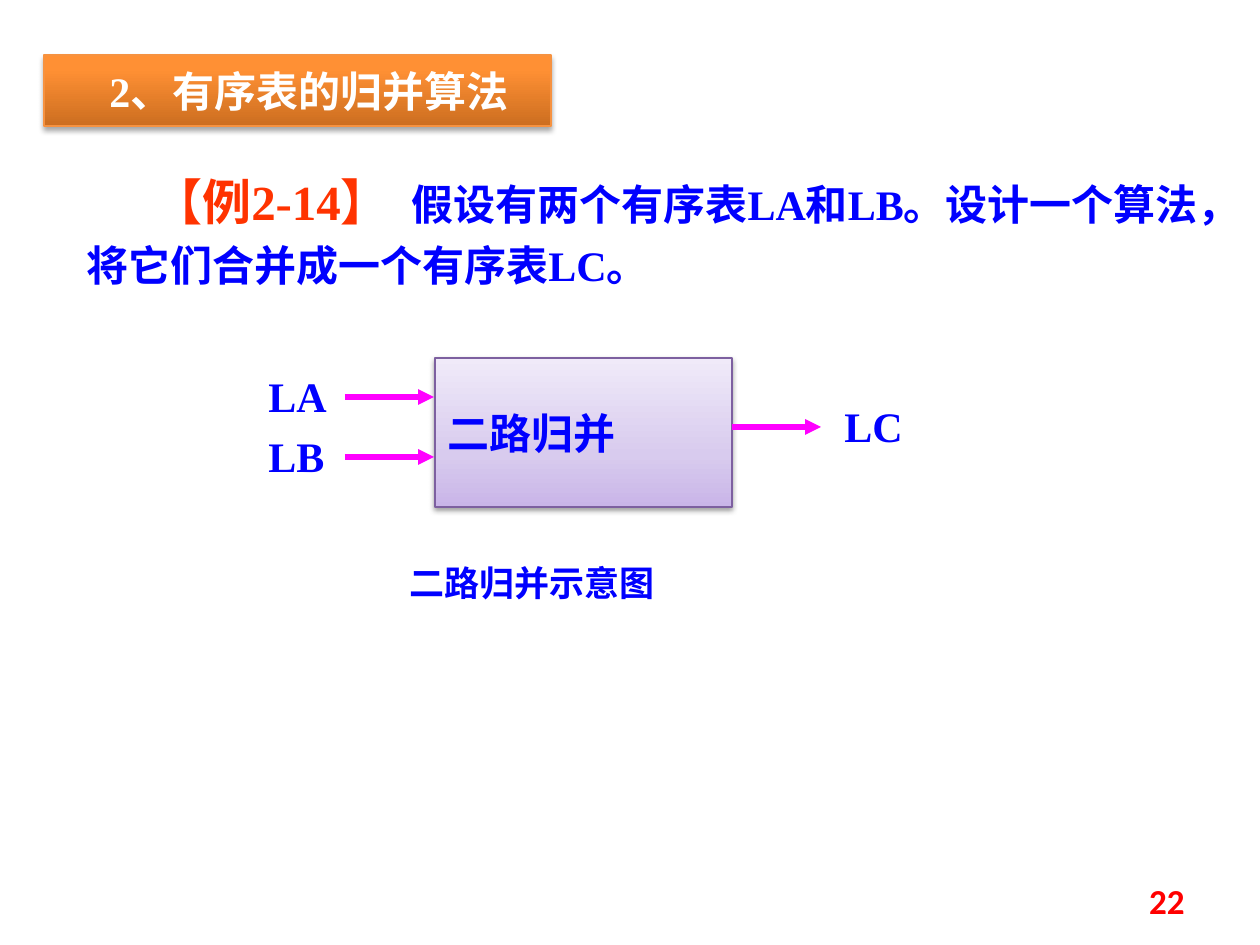
"""Build the slide on merging two ordered lists."""
import lxml.etree
import pptx
import pptx.dml.color
import pptx.enum.shapes
import pptx.enum.text
import pptx.oxml.ns
import pptx.util

EMU_PER_PX = 914400 / 126
BLUE, RED, WHITE, MAGENTA = "0000FF", "FF3300", "FFFFFF", "FF00FF"
CJK, SERIF = "Noto Sans CJK SC", "Times New Roman"
ALIGN = pptx.enum.text.PP_ALIGN
ANCHOR = pptx.enum.text.MSO_ANCHOR


def px(n):
    return pptx.util.Emu(round(n * EMU_PER_PX))


def rgb(color):
    return pptx.dml.color.RGBColor.from_string(color)


def add_xml(parent, tag, **attrs):
    el = lxml.etree.SubElement(parent, pptx.oxml.ns.qn(tag))
    for name, value in attrs.items():
        el.set(name, str(value))
    return el


def add_run(p, text, size, color=BLUE, font=SERIF, tracking=0):
    r = p.add_run()
    r.text = text
    r.font.size = pptx.util.Pt(size)
    r.font.bold = True
    r.font.name = font
    r.font.color.rgb = rgb(color)
    add_xml(r.font._element, "a:ea", typeface=CJK)
    if tracking:
        r.font._element.set("spc", str(tracking * 100))


def set_text(sp, runs, align=ALIGN.LEFT, anchor=ANCHOR.TOP, indent=0):
    tf = sp.text_frame
    tf.word_wrap = True
    tf.vertical_anchor = anchor
    p = tf.paragraphs[0]
    p.alignment = align
    p._p.get_or_add_pPr().set("indent", str(px(indent)))
    for run in runs:
        add_run(p, *run)
    return p


def add_text(s, box, *runs, **layout):
    sp = s.shapes.add_textbox(*map(px, box))
    return set_text(sp, runs, **layout)


def add_panel(s, box, stops, border, shadow, run, indent=0):
    sp = s.shapes.add_shape(pptx.enum.shapes.MSO_SHAPE.RECTANGLE, *map(px, box))
    sp.fill.gradient()
    sp.fill.gradient_angle = 90
    gradient = sp._element.spPr.find(".//" + pptx.oxml.ns.qn("a:gsLst"))
    for stop in list(gradient):
        gradient.remove(stop)
    for pos, color in stops:
        add_xml(add_xml(gradient, "a:gs", pos=pos * 1000), "a:srgbClr", val=color)
    sp.line.color.rgb = rgb(border)
    sp.line.width = pptx.util.Pt(0.75)
    sp.shadow.inherit = False
    effects = sp._element.spPr.find(pptx.oxml.ns.qn("a:effectLst"))
    distance, alpha = shadow
    outer = add_xml(effects, "a:outerShdw", blurRad=pptx.util.Pt(3.1),
                    dist=pptx.util.Pt(distance), dir=5400000, rotWithShape=0)
    black = add_xml(outer, "a:srgbClr", val="000000")
    add_xml(black, "a:alpha", val=alpha * 1000)
    set_text(sp, [run], anchor=ANCHOR.MIDDLE, indent=indent)


def add_arrow(s, x, y, length):
    straight = pptx.enum.shapes.MSO_CONNECTOR.STRAIGHT
    c = s.shapes.add_connector(straight, px(x), px(y), px(x + length), px(y))
    c.line.color.rgb = rgb(MAGENTA)
    c.line.width = pptx.util.Pt(3)
    add_xml(c.line._get_or_add_ln(), "a:tailEnd", type="triangle")
    add_xml(c._element.spPr, "a:effectLst")


def main():
    prs = pptx.Presentation()
    prs.slide_width, prs.slide_height = px(1260), px(945)
    s = prs.slides.add_slide(prs.slide_layouts[6])

    add_panel(s, (44, 55, 507, 71), [(0, "CC6E20"), (80, "FF9034"), (100, "FF9136")],
              "F69240", (1.8, 35), ("2、有序表的归并算法", 24, WHITE), indent=53)

    p = add_text(s, (74, 165, 1160, 132), ("【例2-14】", 28, RED),
                 (" ", 24, BLUE, SERIF, 7),
                 ("假设有两个有序表LA和LB。设计一个算法，将它们合并成一个有序表LC。", 24),
                 indent=67)
    p.line_spacing = pptx.util.Pt(34)

    add_text(s, (397, 555, 367, 54), ("二路归并示意图", 20, BLUE, CJK))
    add_panel(s, (435, 358, 297, 149), [(0, "C9B5E8"), (35, "D8CBEE"), (100, "F0EAF9")],
              "7D60A0", (1.6, 38), ("二路归并", 24, BLUE, CJK))

    for label, label_x, arrow_x, y in [("LA", 256, 345, 397), ("LB", 256, 345, 457),
                                       ("LC", 832, 732, 427)]:
        add_arrow(s, arrow_x, y, 89)
        add_text(s, (label_x, y - 33, 129, 63), (label, 24))

    add_text(s, (903, 876, 294, 50), ("22", 20, "FF0000", "Calibri"),
             align=ALIGN.RIGHT, anchor=ANCHOR.MIDDLE)
    prs.save("out.pptx")


if __name__ == "__main__":
    main()
